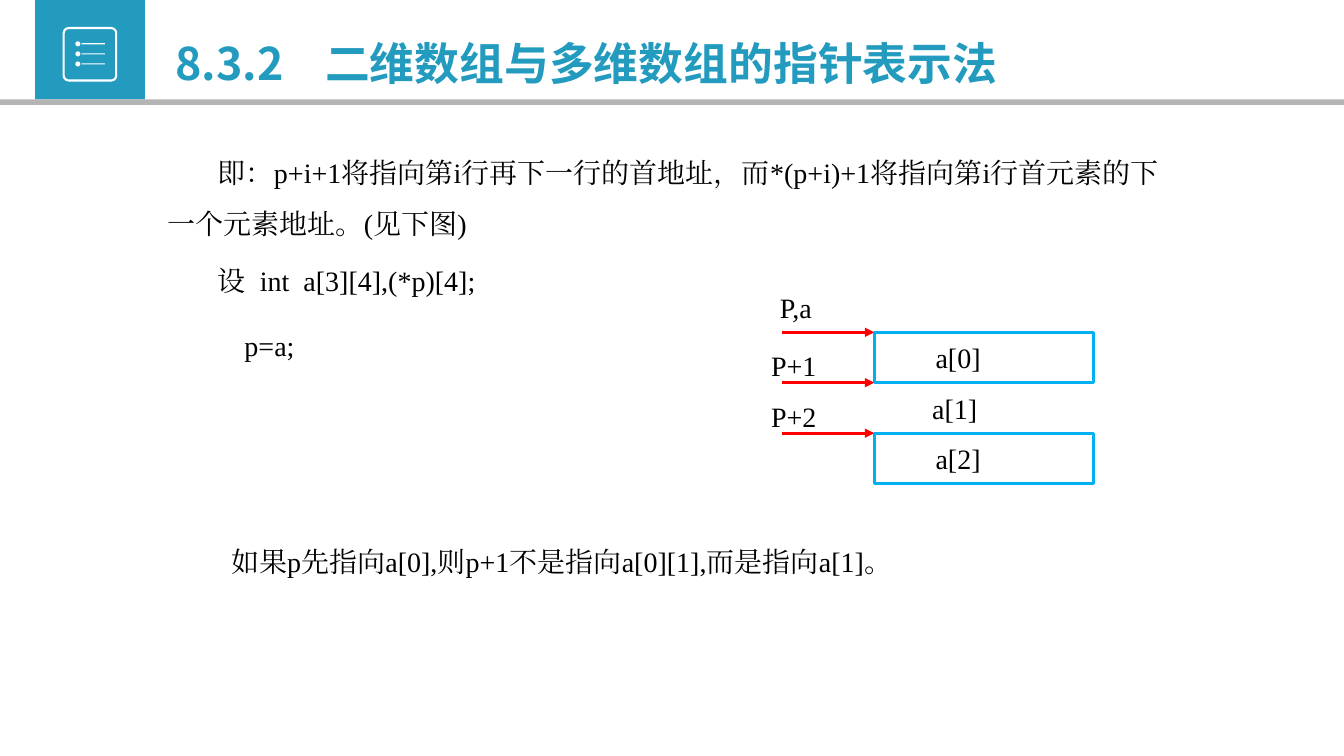
import pptx
import pptx.dml.color
import pptx.enum.shapes
import pptx.enum.text
import pptx.util
from lxml import etree
from pptx.oxml.ns import qn

Pt = pptx.util.Pt
SHAPE = pptx.enum.shapes.MSO_SHAPE
ALIGN = pptx.enum.text.PP_ALIGN
ANCHOR = pptx.enum.text.MSO_ANCHOR


def color(value):
    return pptx.dml.color.RGBColor.from_string(value)


class Deck:
    """Holds the style and the current slide; all lengths are in points."""
    TEAL, GREY, WHITE, BLACK = "229BBF", "B4B4B4", "FFFFFF", "000000"
    BLUE, RED = "00B0F0", "FF0000"
    HEAD_FONT, BODY_FONT = "Noto Sans CJK SC", "Times New Roman"

    def __init__(self):
        self.prs = pptx.Presentation()
        self.prs.slide_width, self.prs.slide_height = Pt(960), Pt(540)
        self.s = self.prs.slides.add_slide(self.prs.slide_layouts[5])

    def style(self, p, font, size, hue, bold=False):
        p.font.name, p.font.size, p.font.bold = font, Pt(size), bold
        p.font.color.rgb = color(hue)
        props = p._p.pPr.find(qn("a:defRPr"))
        etree.SubElement(props, qn("a:ea")).set("typeface", font)

    def title(self, number, words, x, y, w, h, stop):
        """Places the title, with its words at a tab stop after the number."""
        sp = self.s.shapes.title
        sp.left, sp.top, sp.width, sp.height = Pt(x), Pt(y), Pt(w), Pt(h)
        tf = sp.text_frame
        tf.word_wrap = False
        tf.auto_size = pptx.enum.text.MSO_AUTO_SIZE.NONE
        tf.vertical_anchor = ANCHOR.TOP
        p = tf.paragraphs[0]
        p.text = f"{number}\t{words}"
        p.alignment = ALIGN.LEFT
        tabs = etree.SubElement(p._p.get_or_add_pPr(), qn("a:tabLst"))
        tab = etree.SubElement(tabs, qn("a:tab"))
        tab.set("pos", str(Pt(stop)))
        tab.set("algn", "l")
        self.style(p, self.HEAD_FONT, 32, self.TEAL, True)

    def shape(self, kind, x, y, w, h, fill=None, line=None, weight=1.5):
        sp = self.s.shapes.add_shape(kind, Pt(x), Pt(y), Pt(w), Pt(h))
        sp.shadow.inherit = False
        if fill:
            sp.fill.solid()
            sp.fill.fore_color.rgb = color(fill)
        else:
            sp.fill.background()
        if line:
            sp.line.color.rgb = color(line)
            sp.line.width = Pt(weight)
        else:
            sp.line.fill.background()
        return sp

    def arrow(self, x1, x2, y):
        cx = self.s.shapes.add_connector(
            pptx.enum.shapes.MSO_CONNECTOR.STRAIGHT, Pt(x1), Pt(y), Pt(x2), Pt(y))
        cx.line.color.rgb = color(self.RED)
        cx.line.width = Pt(2.25)
        etree.SubElement(cx.line._get_or_add_ln(), qn("a:tailEnd")).set("type", "triangle")
        etree.SubElement(cx._element.spPr, qn("a:effectLst"))

    def text(self, x, y, w, h, paragraphs, spacing=None):
        """Adds paragraphs given as (text, left margin, first-line indent, space before)."""
        tf = self.s.shapes.add_textbox(Pt(x), Pt(y), Pt(w), Pt(h)).text_frame
        tf.word_wrap = True
        for i, (words, margin, indent, before) in enumerate(paragraphs):
            p = tf.add_paragraph() if i else tf.paragraphs[0]
            p.text = words
            props = p._p.get_or_add_pPr()
            props.set("marL", str(Pt(margin)))
            props.set("indent", str(Pt(indent)))
            if spacing:
                p.line_spacing = spacing
            if before:
                p.space_before = Pt(before)
            self.style(p, self.BODY_FONT, 20, self.BLACK)

    def label(self, words, center, y, w=48, h=31.5):
        """Adds a one-line label centred on a given x."""
        tf = self.s.shapes.add_textbox(Pt(center - w / 2), Pt(y), Pt(w), Pt(h)).text_frame
        tf.word_wrap = False
        tf.vertical_anchor = ANCHOR.MIDDLE
        p = tf.paragraphs[0]
        p.text = words
        p.alignment = ALIGN.CENTER
        self.style(p, self.BODY_FONT, 20, self.BLACK)


def header(deck):
    deck.shape(SHAPE.RECTANGLE, 25, 0, 78.5, 71, deck.TEAL)
    frame = deck.shape(SHAPE.ROUNDED_RECTANGLE, 45.5, 20, 37.5, 37.5, line=deck.WHITE)
    frame.adjustments[0] = 0.095
    for i in range(3):
        y = 29.5 + 7.2 * i
        deck.shape(SHAPE.OVAL, 53.8, y, 3.6, 3.6, deck.WHITE)
        deck.shape(SHAPE.RECTANGLE, 58.4, y + 1.4, 16.5, 0.8, deck.WHITE)
    deck.shape(SHAPE.RECTANGLE, 0, 71, 960, 4, deck.GREY)
    deck.title("8.3.2", "二维数组与多维数组的指针表示法", 118, 21.6, 606, 46, 107)


def row_diagram(deck):
    top, row_h, left, width = 237.4, 36, 624.5, 156.5
    for row in (0, 2):
        deck.shape(SHAPE.RECTANGLE, left, top + row * row_h, width, row_h,
                   line=deck.BLUE, weight=2.25)
    pointers = (("P,a", 568.5, 203.8), ("P+1", 567, 245.5), ("P+2", 567, 281.5))
    for row, (pointer, center, y) in enumerate(pointers):
        row_top = top + row * row_h
        deck.arrow(558.5, left, row_top)
        deck.label(pointer, center, y)
        deck.label(f"a[{row}]", 682 if row == 1 else 684.4, row_top + 2.4)


def main():
    deck = Deck()
    header(deck)
    deck.text(112.5, 95.8, 723.5, 163.5, (
        ("即：p+i+1将指向第i行再下一行的首地址，而*(p+i)+1将指向第i行首元素的下一个元素地址。(见下图)",
         0, 36, 0),
        ("设  int  a[3][4],(*p)[4];", 36, 0, 5),
        ("p=a;", 55, 0, 10)), spacing=1.5)
    row_diagram(deck)
    deck.text(131, 385.2, 638, 31.5, (
        ("如果p先指向a[0],则p+1不是指向a[0][1],而是指向a[1]。", 0, 27, 0),))
    deck.prs.save("out.pptx")


if __name__ == "__main__":
    main()
